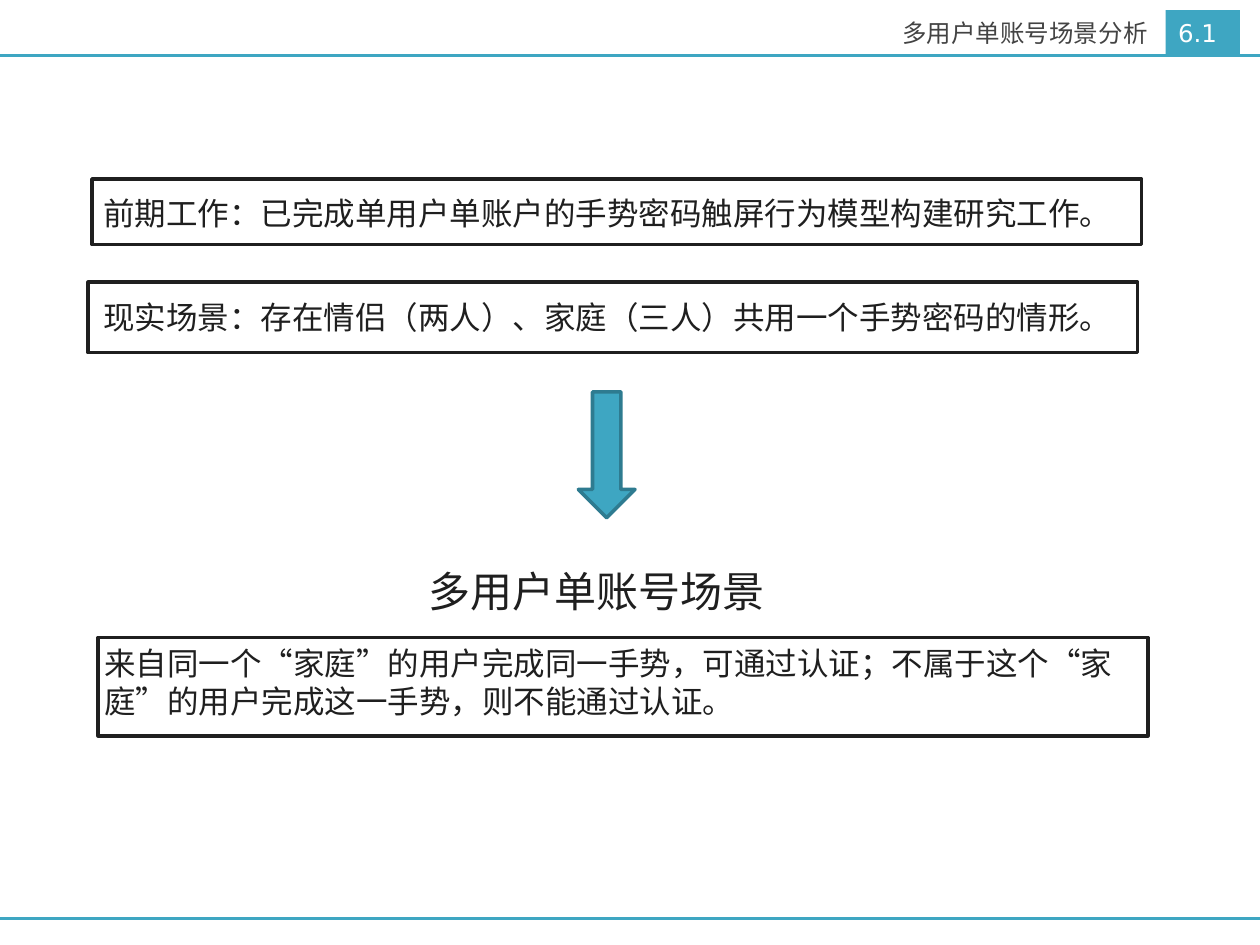
from dataclasses import dataclass

from lxml.etree import SubElement
from pptx import Presentation
from pptx.dml.color import RGBColor
from pptx.enum.shapes import MSO_CONNECTOR, MSO_SHAPE
from pptx.enum.text import MSO_ANCHOR, MSO_AUTO_SIZE, PP_ALIGN
from pptx.oxml.ns import qn
from pptx.util import Inches, Pt

COLORS = {
    "accent": "3EA6C2",
    "accent_dark": "2E7B90",
    "ink": "1F1F1F",
    "header": "434343",
    "white": "FFFFFF",
}
FONT = "DejaVu Sans"


@dataclass(frozen=True)
class Area:
    left: float
    top: float
    width: float
    height: float

    def lengths(self) -> tuple:
        return tuple(Inches(v) for v in (self.left, self.top, self.width, self.height))


@dataclass(frozen=True)
class Statement:
    text: str
    text_area: Area
    frame: Area


HEADER_AREA = Area(4.21, 0.08, 5, 0.36)
NUMBER_AREA = Area(9.25, 0.08, 0.59, 0.36)
ARROW_AREA = Area(4.59, 3.11, 0.45, 1)
SCENARIO_AREA = Area(3.3, 4.44, 5.29, 0.5)
RULE_HEIGHTS = (0.44, 7.29)

STATEMENTS = (
    Statement(
        "前期工作：已完成单用户单账户的手势密码触屏行为模型构建研究工作。",
        Area(0.72, 1.49, 8.14, 0.4),
        Area(0.73, 1.42, 8.33, 0.52),
    ),
    Statement(
        "现实场景：存在情侣（两人）、家庭（三人）共用一个手势密码的情形。",
        Area(0.72, 2.32, 8.62, 0.4),
        Area(0.7, 2.24, 8.33, 0.56),
    ),
    Statement(
        "来自同一个“家庭”的用户完成同一手势，可通过认证；"
        "不属于这个“家庭”的用户完成这一手势，则不能通过认证。",
        Area(0.73, 5.06, 8.33, 0.71),
        Area(0.78, 5.06, 8.33, 0.78),
    ),
)


def color(name: str) -> RGBColor:
    return RGBColor.from_string(COLORS[name])


def add_rule(slide, top: float) -> None:
    rule = slide.shapes.add_connector(
        MSO_CONNECTOR.STRAIGHT, Inches(0), Inches(top), Inches(10), Inches(top)
    )
    rule.line.color.rgb = color("accent")
    rule.line.width = Pt(1.5)
    SubElement(rule._element.spPr, qn("a:effectLst"))


def add_box(slide, kind: MSO_SHAPE, area: Area, fill: str, line: str = "") -> None:
    shape = slide.shapes.add_shape(kind, *area.lengths())
    shape.shadow.inherit = False
    shape.fill.solid()
    shape.fill.fore_color.rgb = color(fill)
    if line:
        shape.line.color.rgb = color(line)
        shape.line.width = Pt(2)
    else:
        shape.line.fill.background()


def write_text(shape, text: str, size: int, ink: str,
               align: PP_ALIGN = PP_ALIGN.LEFT) -> None:
    shape.text_frame.text = text
    paragraph = shape.text_frame.paragraphs[0]
    paragraph.alignment = align
    font = paragraph.runs[0].font
    for name, value in {"name": FONT, "size": Pt(size), "bold": False}.items():
        setattr(font, name, value)
    font.color.rgb = color(ink)


def add_text(slide, area: Area, text: str, size: int) -> None:
    shape = slide.shapes.add_textbox(*area.lengths())
    shape.text_frame.word_wrap = True
    write_text(shape, text, size, "ink")


def fill_placeholder(shape, area: Area, text: str, ink: str, align: PP_ALIGN) -> None:
    shape.left, shape.top, shape.width, shape.height = area.lengths()
    frame_format = {
        "word_wrap": True,
        "auto_size": MSO_AUTO_SIZE.NONE,
        "vertical_anchor": MSO_ANCHOR.MIDDLE,
        "margin_top": 0,
        "margin_bottom": 0,
    }
    for name, value in frame_format.items():
        setattr(shape.text_frame, name, value)
    write_text(shape, text, 14, ink, align)
    paragraph = shape.text_frame.paragraphs[0]
    paragraph.space_before = Pt(0)
    properties = paragraph._p.get_or_add_pPr()
    properties.set("marL", "0")
    properties.set("indent", "0")
    SubElement(properties, qn("a:buNone"))


def main() -> None:
    presentation = Presentation()
    presentation.slide_width = Inches(10)
    presentation.slide_height = Inches(7.5)
    slide = presentation.slides.add_slide(presentation.slide_layouts[1])
    title, number = slide.placeholders

    for top in RULE_HEIGHTS:
        add_rule(slide, top)
    add_box(slide, MSO_SHAPE.RECTANGLE, NUMBER_AREA, "accent")
    slide.shapes._spTree.append(number._element)
    fill_placeholder(title, HEADER_AREA, "多用户单账号场景分析", "header", PP_ALIGN.RIGHT)
    fill_placeholder(number, NUMBER_AREA, "6.1", "white", PP_ALIGN.LEFT)

    for statement in STATEMENTS:
        add_box(slide, MSO_SHAPE.RECTANGLE, statement.frame, "white", "ink")
        add_text(slide, statement.text_area, statement.text, 18)
    add_box(slide, MSO_SHAPE.DOWN_ARROW, ARROW_AREA, "accent", "accent_dark")
    add_text(slide, SCENARIO_AREA, "多用户单账号场景", 24)

    presentation.save("out.pptx")


if __name__ == "__main__":
    main()
